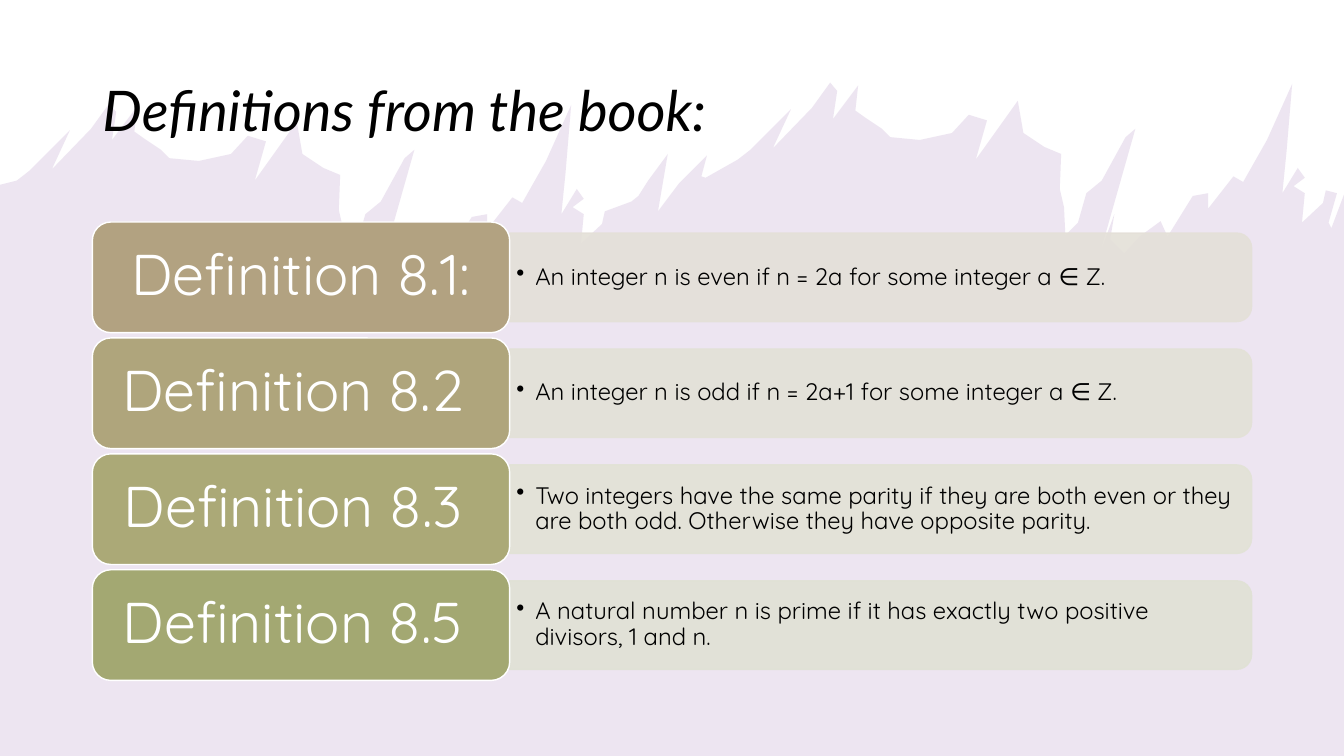
from lxml.etree import SubElement
from pptx import Presentation
from pptx.dml.color import RGBColor
from pptx.enum.shapes import MSO_SHAPE
from pptx.enum.text import MSO_ANCHOR, MSO_AUTO_SIZE, PP_ALIGN
from pptx.oxml.ns import qn
from pptx.util import Pt

WHITE = RGBColor(0xFF, 0xFF, 0xFF)
BLACK = RGBColor(0, 0, 0)
PURPLE = RGBColor(0xA6, 0x7F, 0xBA)

SLIDE_W, SLIDE_H = 960, 540

# Label, definition, label colour, bar colour
DEFINITIONS = [
    ("Definition 8.1:", "An integer n is even if n = 2a for some integer a ∈ Z.",
     RGBColor(0xB2, 0xA2, 0x81), RGBColor(0xE4, 0xE0, 0xD8)),
    ("Definition 8.2 ", "An integer n is odd if n = 2a+1 for some integer a ∈ Z.",
     RGBColor(0xAF, 0xA5, 0x7C), RGBColor(0xE3, 0xE1, 0xD7)),
    ("Definition 8.3 ", "Two integers have the same parity if they are both even or they "
     "are both odd. Otherwise they have opposite parity.",
     RGBColor(0xAB, 0xA9, 0x77), RGBColor(0xE2, 0xE2, 0xD6)),
    ("Definition 8.5 ", "A natural number n is prime if it has exactly two positive "
     "divisors, 1 and n.",
     RGBColor(0xA3, 0xA8, 0x72), RGBColor(0xE0, 0xE1, 0xD5)),
]

# Crest of the splash, used twice: the left one is the right one shifted
CREST = [
    (527, 114), (536, 107), (565, 78), (552, 106), (580, 77), (593, 59), (598, 65), (595, 85),
    (613, 61), (611, 79), (618, 84), (630, 92), (636, 98), (657, 100), (680, 95), (692, 82),
    (705, 86), (697, 114), (727, 72), (731, 95), (746, 105), (758, 110), (757, 135), (760, 148),
    (761, 168), (770, 159), (776, 138), (787, 129), (804, 98), (811, 92), (786, 180), (796, 153),
    (793, 171), (803, 181), (814, 169), (829, 158), (834, 169), (852, 140), (863, 138),
    (863, 149), (881, 126), (888, 130), (905, 100), (923, 60), (919, 108), (916, 138),
    (927, 120), (932, 127), (924, 133), (932, 138), (930, 159), (945, 145), (947, 136),
]
CREST_SHIFT = (-515, 15)
BETWEEN = [(451, 144), (456, 140), (463, 129), (477, 110), (470, 151), (485, 131),
           (505, 111), (501, 126), (504, 127)]
RIGHT_END = [(955, 138), (949, 159), (951, 163), (960, 139)]


def set_alpha(sp, percent):
    for color in list(sp._element.spPr.iter(qn("a:srgbClr"))):
        SubElement(color, qn("a:alpha")).set("val", str(percent * 1000))


def paint(sp, fill, line=None):
    sp.shadow.inherit = False
    sp.fill.solid()
    sp.fill.fore_color.rgb = fill
    if line is None:
        sp.line.fill.background()
    else:
        sp.line.color.rgb = line
        sp.line.width = Pt(1)


def write(tf, text, *, size, font, color, align=PP_ALIGN.LEFT, italic=False,
          inset=(7.2, 3.6), bullet_indent=None):
    tf.word_wrap = True
    tf.auto_size = MSO_AUTO_SIZE.NONE
    tf.vertical_anchor = MSO_ANCHOR.MIDDLE
    tf.margin_left = tf.margin_right = Pt(inset[0])
    tf.margin_top = tf.margin_bottom = Pt(inset[1])
    p = tf.paragraphs[0]
    p.alignment = align
    p.line_spacing = 0.9
    if bullet_indent:
        pPr = p._p.get_or_add_pPr()
        pPr.set("marL", str(Pt(bullet_indent)))
        pPr.set("indent", str(-Pt(bullet_indent)))
        SubElement(pPr, qn("a:buChar")).set("char", "•")
    r = p.add_run()
    r.text = text
    r.font.size, r.font.name, r.font.italic = Pt(size), font, italic
    r.font.color.rgb = color


def add_splash(slide, width, height):
    dx, dy = CREST_SHIFT
    left_crest = [(x + dx, y + dy) for x, y in CREST]
    outline = [(0, 132), *left_crest, *BETWEEN, *CREST, *RIGHT_END,
               (width, height), (0, height)]
    vertices = [(Pt(x), Pt(y)) for x, y in outline]
    builder = slide.shapes.build_freeform(*vertices[0])
    builder.add_line_segments(vertices[1:], close=True)
    sp = builder.convert_to_shape()
    paint(sp, PURPLE)
    set_alpha(sp, 20)


def add_title(slide, left, top, width, height):
    sp = slide.shapes.title
    sp.left, sp.top, sp.width, sp.height = Pt(left), Pt(top), Pt(width), Pt(height)
    write(sp.text_frame, "Definitions from the book:", size=40, font="Lato",
          color=BLACK, italic=True)


def add_definition(slide, left, top, width, height, label, text, label_fill, bar_fill):
    shapes = slide.shapes
    label_w = width * 0.36
    bar_left, bar_w, bar_h = left + label_w, width - label_w, height * 0.8
    middle = top + height / 2

    # Bar, turned so that its round corners face right
    bar = shapes.add_shape(MSO_SHAPE.ROUND_2_SAME_RECTANGLE,
                           Pt(bar_left + (bar_w - bar_h) / 2), Pt(middle - bar_w / 2),
                           Pt(bar_h), Pt(bar_w))
    bar.rotation = 90
    paint(bar, bar_fill, bar_fill)
    set_alpha(bar, 90)

    # Definition text
    box = shapes.add_textbox(Pt(bar_left), Pt(middle - 28.5), Pt(bar_w - 3), Pt(57))
    write(box.text_frame, text, size=17, font="Quicksand", color=BLACK,
          inset=(4.8, 2.6), bullet_indent=13.5)

    # Label
    sp = shapes.add_shape(MSO_SHAPE.ROUNDED_RECTANGLE, Pt(left), Pt(top), Pt(label_w), Pt(height))
    paint(sp, label_fill, WHITE)
    write(sp.text_frame, label, size=41, font="Quicksand", color=WHITE,
          align=PP_ALIGN.CENTER, inset=(16, 10))


def main():
    prs = Presentation()
    prs.slide_width, prs.slide_height = Pt(SLIDE_W), Pt(SLIDE_H)
    slide = prs.slides.add_slide(prs.slide_layouts[5])
    slide.background.fill.solid()
    slide.background.fill.fore_color.rgb = WHITE

    add_splash(slide, SLIDE_W, SLIDE_H)
    add_title(slide, 66, 28.8, 828, 104.4)
    for i, definition in enumerate(DEFINITIONS):
        add_definition(slide, 66, 158.6 + i * 82.8, 828, 79, *definition)

    # Title in front of the splash
    slide.shapes._spTree.append(slide.shapes.title._element)
    prs.save("out.pptx")


if __name__ == "__main__":
    main()
